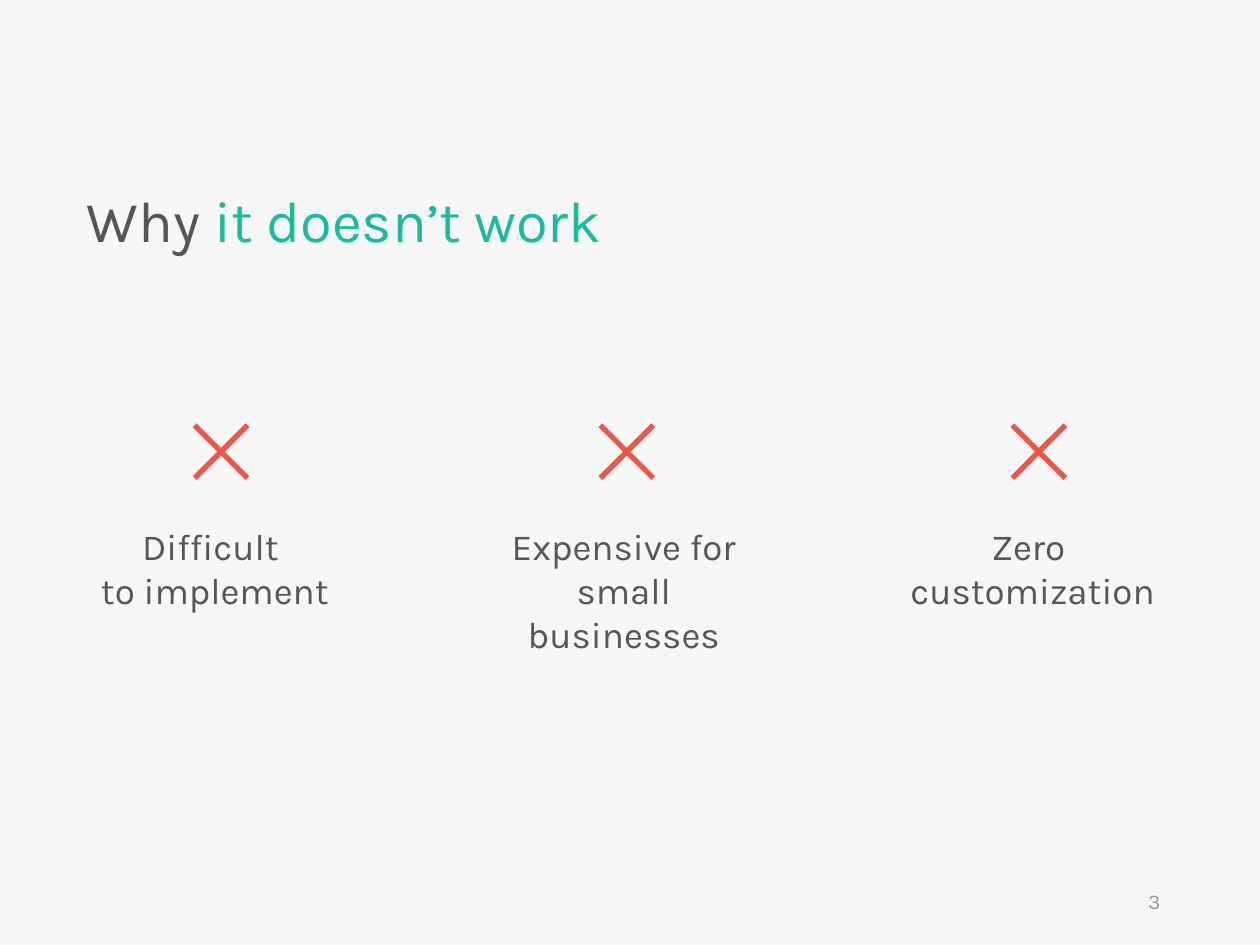
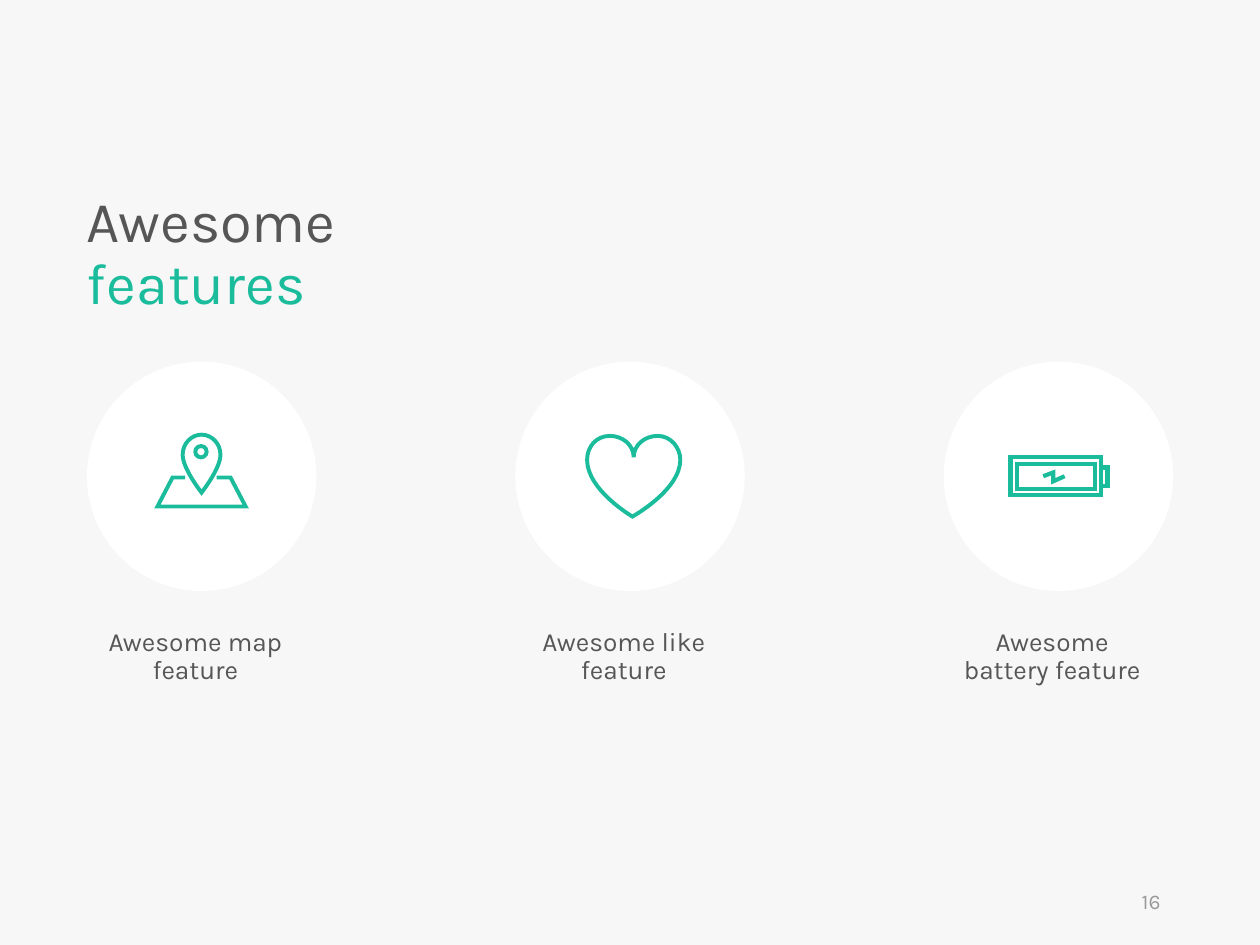
from lxml.etree import SubElement
from pptx import Presentation
from pptx.dml.color import RGBColor
from pptx.enum.shapes import MSO_SHAPE
from pptx.enum.text import MSO_ANCHOR, MSO_AUTO_SIZE, PP_ALIGN
from pptx.oxml.ns import qn
from pptx.util import Inches, Pt

COLORS = {
    "background": "F7F7F7",
    "text": "565656",
    "accent": "1ABC9C",
    "cross": "E95849",
    "disc": "FFFFFF",
    "number": "9A9A9A",
}
FONT = "Karla"
MARGIN = 0.69


def rgb(name):
    return RGBColor.from_string(COLORS[name])


def bend(shape):
    """Turn each three line segments of a freeform into one cubic curve."""
    segments = list(shape._element.iter(qn("a:lnTo")))
    for first, second, third in zip(*[iter(segments)] * 3):
        first.tag = qn("a:cubicBezTo")
        for segment in (second, third):
            first.append(segment[0])
            segment.getparent().remove(segment)


class Deck:
    def __init__(self):
        self.presentation = Presentation()
        self.presentation.slide_width = Inches(10)
        self.presentation.slide_height = Inches(7.5)
        self.slide = None

    def new_slide(self):
        layout = self.presentation.slide_layouts[6]
        self.slide = self.presentation.slides.add_slide(layout)
        fill = self.slide.background.fill
        fill.solid()
        fill.fore_color.rgb = rgb("background")

    def title(self, start, highlight, width):
        self.text([(start, "text"), (highlight, "accent")], MARGIN, 1.48, width, 0.6,
                  size=33, line_spacing=0.9, space_before=10)

    def page_number(self, number):
        self.text([(number, "number")], 7.06, 6.95, 2.25, 0.4, size=12,
                  align=PP_ALIGN.RIGHT, anchor=MSO_ANCHOR.MIDDLE,
                  left_inset=0.1, grow=False)

    def text(self, parts, left, top, width, height, *, size, align=PP_ALIGN.LEFT,
             anchor=MSO_ANCHOR.TOP, line_spacing=None, space_before=None,
             left_inset=0, grow=True):
        """Add a text box from (text, colour name) parts; newlines break lines."""
        box = self.slide.shapes.add_textbox(
            Inches(left), Inches(top), Inches(width), Inches(height))
        frame = box.text_frame
        frame.word_wrap = True
        frame.auto_size = (MSO_AUTO_SIZE.SHAPE_TO_FIT_TEXT if grow
                           else MSO_AUTO_SIZE.NONE)
        frame.vertical_anchor = anchor
        frame.margin_left = Inches(left_inset)
        paragraph = frame.paragraphs[0]
        paragraph.alignment = align
        paragraph.line_spacing = line_spacing
        if space_before:
            paragraph.space_before = Pt(space_before)
        for content, color in parts:
            for index, line in enumerate(content.split("\n")):
                if index:
                    paragraph.add_line_break()
                run = paragraph.add_run()
                run.text = line
                run.font.name = FONT
                run.font.size = Pt(size)
                run.font.color.rgb = rgb(color)

    def caption(self, content, left, top, width, height, **style):
        self.text([(content, "text")], left, top, width, height,
                  align=PP_ALIGN.CENTER, **style)

    def preset(self, kind, left, top, width, height, **style):
        shape = self.slide.shapes.add_shape(
            kind, Inches(left), Inches(top), Inches(width), Inches(height))
        return self.paint(shape, **style)

    def outline(self, points, close=True, curved=False, **style):
        """Draw a freeform; a curved one lists two controls before each end."""
        start, *rest = [(Inches(x), Inches(y)) for x, y in points]
        builder = self.slide.shapes.build_freeform(*start)
        builder.add_line_segments(rest, close=close)
        shape = builder.convert_to_shape()
        if curved:
            bend(shape)
        return self.paint(shape, **style)

    def paint(self, shape, fill=None, stroke=None):
        """Apply a fill colour name and an accent line of stroke points."""
        shape.shadow.inherit = False
        if fill:
            shape.fill.solid()
            shape.fill.fore_color.rgb = rgb(fill)
        else:
            shape.fill.background()
        if stroke:
            shape.line.color.rgb = rgb("accent")
            shape.line.width = Pt(stroke)
            line = shape.line._get_or_add_ln()
            SubElement(line, qn("a:miter")).set("lim", "800000")
        else:
            shape.line.fill.background()
        return shape

    def group(self, *parts):
        self.slide.shapes.add_group_shape(shapes=parts)

    def cross(self, left, top):
        half, nick = 0.45 / 2, 0.03
        arm = [(half, nick - half), (half - nick, -half), (0, -nick)]
        points = []
        for _ in range(4):
            points += [(left + half + x, top + half + y) for x, y in arm]
            arm = [(y, -x) for x, y in arm]
        self.outline(points, fill="cross")

    def map_icon(self):
        stroke = 2.25
        pin = [
            (1.75, 3.61),
            (1.75, 3.52), (1.68, 3.45), (1.6, 3.45),
            (1.52, 3.45), (1.45, 3.52), (1.45, 3.61),
            (1.45, 3.72), (1.6, 3.91), (1.6, 3.91),
            (1.6, 3.91), (1.75, 3.72), (1.75, 3.61),
        ]
        sheet = [(1.47, 3.79), (1.37, 3.79), (1.25, 4.02), (1.6, 4.02),
                 (1.95, 4.02), (1.83, 3.79), (1.72, 3.79)]
        self.group(
            self.preset(MSO_SHAPE.OVAL, 1.55, 3.54, 0.09, 0.09, stroke=stroke),
            self.outline(pin, curved=True, stroke=stroke),
            self.outline(sheet, close=False, stroke=stroke))

    def heart_icon(self):
        heart = [
            (4.66, 3.65),
            (4.66, 3.89), (5.02, 4.1), (5.02, 4.1),
            (5.02, 4.1), (5.4, 3.89), (5.4, 3.65),
            (5.4, 3.56), (5.33, 3.46), (5.22, 3.46),
            (5.12, 3.46), (5.03, 3.53), (5.03, 3.63),
            (5.03, 3.53), (4.94, 3.46), (4.84, 3.46),
            (4.73, 3.46), (4.66, 3.55), (4.66, 3.65),
        ]
        self.outline(heart, curved=True, stroke=2.25)

    def battery_icon(self):
        stroke = 2.38
        terminal = [(8.74, 3.71), (8.79, 3.71), (8.79, 3.86), (8.74, 3.86)]
        bolt = [(8.28, 3.78), (8.36, 3.75), (8.36, 3.82), (8.45, 3.78)]
        self.group(
            self.preset(MSO_SHAPE.RECTANGLE, 8.02, 3.63, 0.72, 0.3, stroke=stroke),
            self.outline(terminal, close=False, stroke=stroke),
            self.preset(MSO_SHAPE.RECTANGLE, 8.07, 3.68, 0.62, 0.2, stroke=stroke),
            self.outline(bolt, close=False, stroke=stroke))


def add_problems(deck):
    deck.new_slide()
    deck.title("Why ", "it doesn’t work", 4.27)
    problems = ["Difficult \nto implement", "Expensive for small businesses",
                "Zero \ncustomization"]
    pitch = (7.18 - MARGIN) / 2
    for column, problem in enumerate(problems):
        deck.caption(problem, MARGIN + column * pitch, 4.11, 2.13, 0.81, size=21)
    for cross_left in (1.53, 4.75, 8.02):
        deck.cross(cross_left, 3.36)
    deck.page_number("3")


def add_features(deck):
    deck.new_slide()
    lefts = [MARGIN + column * 3.4 for column in range(3)]
    for left in lefts:
        deck.preset(MSO_SHAPE.OVAL, left, 2.87, 1.82, 1.82, fill="disc")
    deck.map_icon()
    deck.heart_icon()
    deck.battery_icon()
    for left, subject in zip(lefts, ("map", "like", "battery")):
        deck.caption(f"Awesome {subject} feature", left + 0.08, 4.94, 1.66, 0.56,
                     size=15, line_spacing=0.9)
    deck.title("Awesome ", "features", 3.68)
    deck.page_number("16")


def main():
    deck = Deck()
    add_problems(deck)
    add_features(deck)
    deck.presentation.save("out.pptx")


if __name__ == "__main__":
    main()
